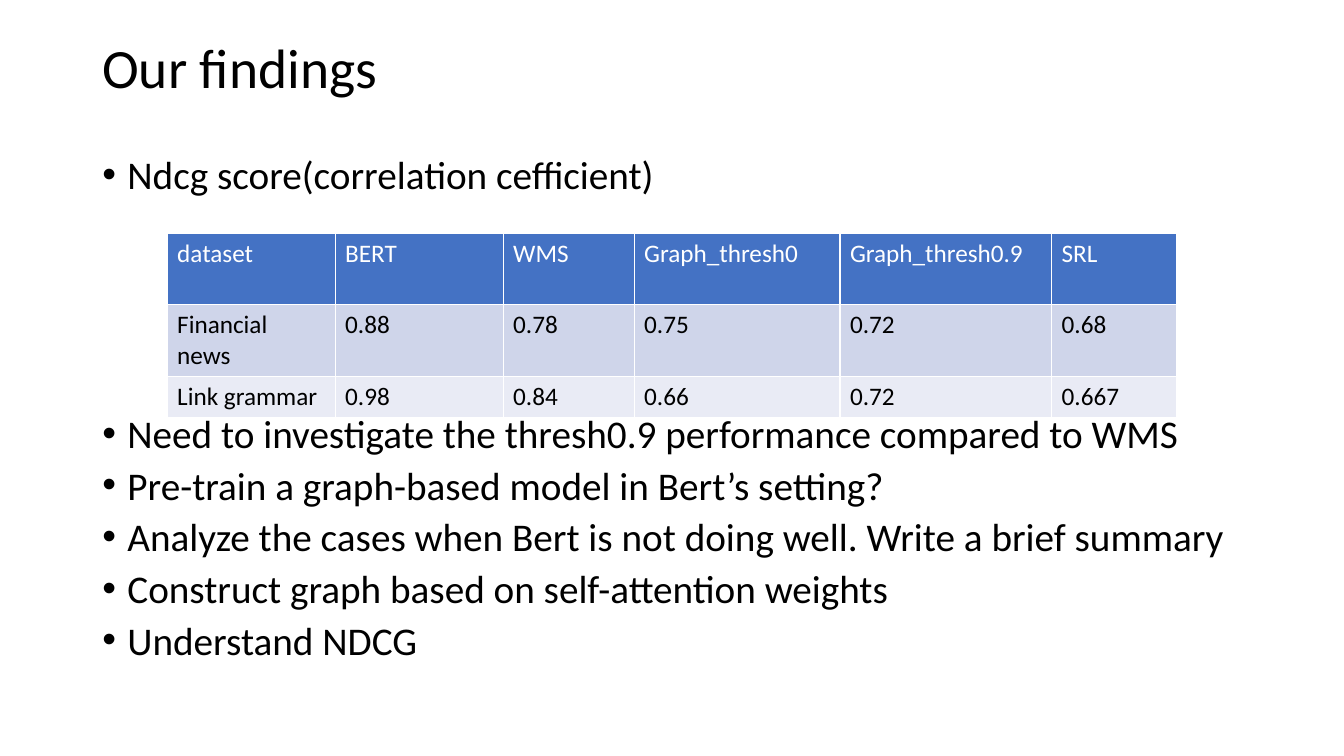
from dataclasses import dataclass

from lxml import etree
from pptx import Presentation
from pptx.dml.color import RGBColor
from pptx.enum.text import MSO_ANCHOR
from pptx.oxml.ns import qn
from pptx.util import Inches, Pt

TOP, MIDDLE = MSO_ANCHOR.TOP, MSO_ANCHOR.MIDDLE
GRID_COLUMNS, GRID_ROWS = 160, 90  # cells of 1/12 inch


@dataclass(frozen=True)
class Theme:
    """Colours, font and type sizes of the slide."""
    font: str = "Calibri"
    ink: str = "000000"
    paper: str = "FFFFFF"
    header: str = "4472C4"
    bands: tuple = ("CFD5EA", "E9EBF5")
    title_size: float = 39.6
    list_size: float = 28
    table_size: float = 18
    border: float = 1


THEME = Theme()
TITLE = "Our findings"
FINDINGS = [
    "Ndcg score(correlation cefficient)",
    "Need to investigate the thresh0.9 performance compared to WMS",
    "Pre-train a graph-based model in Bert’s setting?",
    "Analyze the cases when Bert is not doing well. Write a brief summary",
    "Construct graph based on self-attention weights",
    "Understand NDCG",
]
LIST_GAP, TABLE_GAP = 10, 158  # points before a finding; room left for the table
SCORES = [
    ["dataset", "BERT", "WMS", "Graph_thresh0", "Graph_thresh0.9", "SRL"],
    ["Financial news", "0.88", "0.78", "0.75", "0.72", "0.68"],
    ["Link grammar", "0.98", "0.84", "0.66", "0.72", "0.667"],
]
SCORE_COLUMNS = [20, 20, 15.6, 24.5, 25.2, 14.9]
SCORE_ROWS = [8.5, 8.55, 4.9]


def cells(count):
    """Turn a count of grid cells into a length."""
    return Inches(count / 12)


def apply_format(target, values):
    """Set each attribute named in a dict of format values."""
    for attribute, value in values.items():
        setattr(target, attribute, value)


def write(paragraph, text, size, color, **layout):
    """Put one styled run into a paragraph and lay the paragraph out."""
    run = paragraph.add_run()
    run.text = text
    apply_format(run.font, {"name": THEME.font, "size": Pt(size)})
    run.font.color.rgb = RGBColor.from_string(color)
    apply_format(paragraph, layout)


def add_text_frame(slide, left, top, width, height, anchor):
    """Add a wrapping text box on the grid and return its text frame."""
    box = slide.shapes.add_textbox(*map(cells, (left, top, width, height)))
    frame = box.text_frame
    apply_format(frame, {"word_wrap": True, "vertical_anchor": anchor})
    return frame


def add_bullet(paragraph):
    """Give a paragraph a round bullet with a hanging indent."""
    properties = paragraph._p.get_or_add_pPr()
    indent = cells(3)
    properties.set("marL", str(indent))
    properties.set("indent", str(-indent))
    etree.SubElement(properties, qn("a:buFont")).set("typeface", "Arial")
    etree.SubElement(properties, qn("a:buChar")).set("char", "•")


def add_findings(slide):
    """Add the bulleted list, leaving room for the table after its first line."""
    frame = add_text_frame(slide, 11, 18.4, 138, 62.8, TOP)
    for index, finding in enumerate(FINDINGS):
        paragraph = frame.add_paragraph() if index else frame.paragraphs[0]
        gap = TABLE_GAP if index == 1 else LIST_GAP
        write(paragraph, finding, THEME.list_size, THEME.ink,
              line_spacing=0.8, space_before=Pt(gap))
        add_bullet(paragraph)


def set_borders(cell):
    """Draw the four thin cell borders, which must precede the fill."""
    properties = cell._tc.get_or_add_tcPr()
    for position, side in enumerate(("a:lnL", "a:lnR", "a:lnT", "a:lnB")):
        line = etree.Element(qn(side), w=str(Pt(THEME.border)))
        fill = etree.SubElement(line, qn("a:solidFill"))
        etree.SubElement(fill, qn("a:srgbClr")).set("val", THEME.paper)
        properties.insert(position, line)


def add_scores(slide):
    """Add the score table with a header row and two banded rows."""
    size = map(cells, (19.9, 27.75, sum(SCORE_COLUMNS), sum(SCORE_ROWS)))
    table = slide.shapes.add_table(len(SCORES), len(SCORES[0]), *size).table
    for column, width in zip(table.columns, SCORE_COLUMNS):
        column.width = cells(width)
    for row, height in zip(table.rows, SCORE_ROWS):
        row.height = cells(height)
    for row_index, scores in enumerate(SCORES):
        fill = (THEME.header, *THEME.bands)[row_index]
        color = THEME.ink if row_index else THEME.paper
        for column_index, score in enumerate(scores):
            cell = table.cell(row_index, column_index)
            cell.fill.solid()
            cell.fill.fore_color.rgb = RGBColor.from_string(fill)
            set_borders(cell)
            write(cell.text_frame.paragraphs[0], score, THEME.table_size, color)
            cell.text_frame.paragraphs[0].runs[0].font.bold = False


def main():
    """Build the findings slide and save it."""
    deck = Presentation()
    apply_format(deck, {"slide_width": cells(GRID_COLUMNS),
                        "slide_height": cells(GRID_ROWS)})
    slide = deck.slides.add_slide(deck.slide_layouts[6])
    title = add_text_frame(slide, 11, 4.8, 138, 7.3, MIDDLE)
    write(title.paragraphs[0], TITLE, THEME.title_size, THEME.ink, line_spacing=0.9)
    add_findings(slide)
    add_scores(slide)
    deck.save("out.pptx")


main()
